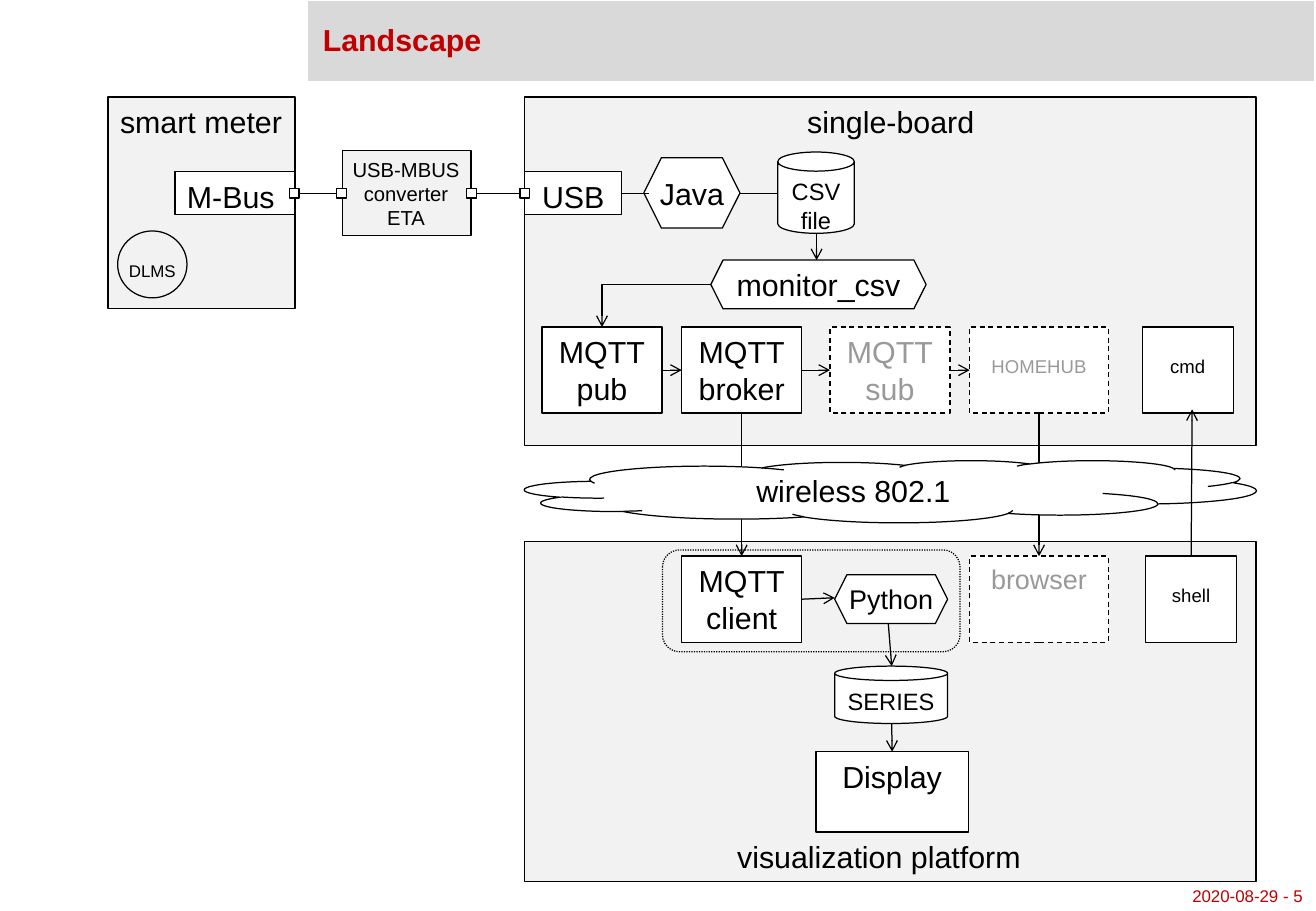
import pptx
import pptx.dml.color
import pptx.enum.dml
import pptx.enum.shapes
import pptx.enum.text
import pptx.oxml.ns
import pptx.util
from lxml import etree

Cm = pptx.util.Cm
Pt = pptx.util.Pt
RGBColor = pptx.dml.color.RGBColor
Shape = pptx.enum.shapes.MSO_SHAPE
Connector = pptx.enum.shapes.MSO_CONNECTOR
Align = pptx.enum.text.PP_ALIGN
Anchor = pptx.enum.text.MSO_ANCHOR
Dash = pptx.enum.dml.MSO_LINE
qn = pptx.oxml.ns.qn

BLACK = RGBColor(0x00, 0x00, 0x00)
WHITE = RGBColor(0xFF, 0xFF, 0xFF)
RED = RGBColor(0xC0, 0x00, 0x00)
MUTED = RGBColor(0x99, 0x99, 0x99)
HEADER = RGBColor(0xD9, 0xD9, 0xD9)
PANEL = RGBColor(0xF2, 0xF2, 0xF2)

TOP, LEFT, BOTTOM, RIGHT = range(4)
INSETS = (0.25, 0.13, 0.25, 0.13)
SECOND_LINE = (0.25, 0.58, 0.25, 0.13)
NO_INSETS = (0, 0, 0, 0)

BUS_Y = 4.04
PORT = 0.2
PI_ROW, PLATFORM_ROW = 6.84, 11.63
NODE_HEIGHT = 1.8


def write(shape, text, size=18, color=BLACK, bold=False, align=Align.CENTER,
          anchor=Anchor.TOP, insets=INSETS, wrap=True):
    """Fill the shape with text, one paragraph per line."""
    frame = shape.text_frame
    frame.word_wrap = wrap
    frame.vertical_anchor = anchor
    (frame.margin_left, frame.margin_top,
     frame.margin_right, frame.margin_bottom) = map(Cm, insets)
    frame.text = text
    for paragraph in frame.paragraphs:
        paragraph.alignment = align
        font = paragraph.runs[0].font
        font.name, font.size, font.bold = "Arial", Pt(size), bold
        font.color.rgb = color


def add_label(slide, text, left, top, width, height, **text_format):
    box = slide.shapes.add_textbox(Cm(left), Cm(top), Cm(width), Cm(height))
    write(box, text, **text_format)


def add_node(slide, kind, left, top, width, height, text="", fill=WHITE,
             line=BLACK, dash=None, **text_format):
    """Add an outlined shape; fill=None leaves it transparent."""
    shape = slide.shapes.add_shape(kind, Cm(left), Cm(top), Cm(width), Cm(height))
    shape.shadow.inherit = False
    if fill is None:
        shape.fill.background()
    else:
        shape.fill.solid()
        shape.fill.fore_color.rgb = fill
    shape.line.color.rgb = line
    shape.line.width = Pt(0.75)
    if dash is not None:
        shape.line.dash_style = dash
    if text:
        write(shape, text, **text_format)
    return shape


def add_link(slide, start, end, arrow=True, kind=Connector.STRAIGHT):
    """Link two ends, each a (shape, side) pair or an (x, y) point."""
    points = [(0, 0) if hasattr(first, "shape_id") else (first, second)
              for first, second in (start, end)]
    link = slide.shapes.add_connector(kind, *(Cm(v) for point in points for v in point))
    if hasattr(start[0], "shape_id"):
        link.begin_connect(*start)
    if hasattr(end[0], "shape_id"):
        link.end_connect(*end)
    link.line.color.rgb = BLACK
    link.line.width = Pt(0.75)
    if arrow:
        etree.SubElement(link.line._get_or_add_ln(), qn("a:tailEnd"), type="arrow")
    etree.SubElement(link._element.spPr, qn("a:effectLst"))
    return link


def add_corner_link(slide, start, end):
    """Link with a single right-angle bend."""
    link = add_link(slide, start, end, kind=Connector.ELBOW)
    link._element.spPr.find(qn("a:prstGeom")).set("prst", "bentConnector2")


def add_frame(slide):
    add_label(slide, "2020-08-29 - 5", 24.13, 18.39, 3.35, 0.69, size=10,
              color=RED, align=Align.RIGHT, wrap=False)
    add_node(slide, Shape.RECTANGLE, 6.45, 0.03, 21.01, 1.65, fill=HEADER, line=HEADER)
    add_label(slide, "Landscape", 6.5, 0, 21.01, 1.65, color=RED, bold=True,
              align=Align.LEFT, anchor=Anchor.MIDDLE)


def add_panels(slide):
    add_node(slide, Shape.RECTANGLE, 2.26, 2.03, 3.91, 4.42, fill=PANEL)
    add_label(slide, "smart meter", 2.26, 2.03, 4.04, 1.02, align=Align.LEFT, wrap=False)
    add_node(slide, Shape.RECTANGLE, 10.97, 2.03, 15.29, 7.29, fill=PANEL)
    add_label(slide, "single-board", 16.12, 2.03, 5, 1.02, wrap=False)
    add_node(slide, Shape.RECTANGLE, 10.97, 11.33, 15.29, 7.11, fill=PANEL)
    add_label(slide, "visualization platform", 15.16, 17.4, 6.6, 1.02,
              align=Align.LEFT, wrap=False)


def add_meter_chain(slide):
    """Smart meter, converter and the reading chain; returns the CSV reader."""
    add_node(slide, Shape.OVAL, 2.46, 4.83, 1.45, 1.4, "DLMS", fill=None, size=10,
             insets=(0, 0.41, 0, 0))
    add_node(slide, Shape.RECTANGLE, 3.66, 3.59, 2.51, 0.9, "M-Bus", align=Align.LEFT)
    add_node(slide, Shape.RECTANGLE, 7.16, 3.15, 2.69, 1.78, fill=PANEL)
    add_label(slide, "USB-MBUS\nconverter\nETA", 7.26, 3.28, 2.46, 1.55, size=12,
              insets=NO_INSETS)
    usb = add_node(slide, Shape.RECTANGLE, 10.97, 3.59, 2.03, 0.9, "USB")
    program = dict(anchor=Anchor.MIDDLE, insets=NO_INSETS, wrap=False)
    add_node(slide, Shape.HEXAGON, 13.46, 3.3, 2.01, 1.47, "Java", **program)
    add_node(slide, Shape.CAN, 16.26, 3.18, 1.6, 1.7, "CSV\nfile", size=14)
    monitor = add_node(slide, Shape.HEXAGON, 14.86, 5.44, 4.5, 1.02, "monitor_csv",
                       **program)

    # Ports along the bus, linked in pairs
    ports = [add_node(slide, Shape.RECTANGLE, x - PORT / 2, BUS_Y - PORT / 2, PORT, PORT)
             for x in (6.15, 7.14, 9.86, 10.97)]
    for near, far in zip(ports[::2], ports[1::2]):
        add_link(slide, (near, RIGHT), (far, LEFT), arrow=False)
    add_link(slide, (usb, RIGHT), (13.56, BUS_Y), arrow=False)
    add_link(slide, (15.47, BUS_Y), (16.26, BUS_Y), arrow=False)
    add_link(slide, (17.07, 4.89), (17.07, 5.44))
    return monitor


def add_services(slide, monitor):
    """Both service rows with their links; returns the terminal client."""
    def service(text, left, top, width=2.51, **options):
        return add_node(slide, Shape.RECTANGLE, left, top, width, NODE_HEIGHT,
                        text, **options)

    planned = dict(color=MUTED, dash=Dash.DASH)
    small = dict(size=11, insets=SECOND_LINE)

    # Single-board row
    publisher = service("MQTT\npub", 11.33, PI_ROW)
    broker = service("MQTT\nbroker", 14.25, PI_ROW)
    subscriber = service("MQTT\nsub", 17.35, PI_ROW, **planned)
    home = service("HOMEHUB", 20.27, PI_ROW, 2.9, **planned, **small)
    service("cmd", 23.88, PI_ROW, 1.9, **small)

    # Visualization row
    client = service("MQTT\nclient", 14.25, PLATFORM_ROW)
    browser = service("browser", 20.27, PLATFORM_ROW, 2.9, size=16, **planned)
    terminal = service("shell", 23.95, PLATFORM_ROW, 1.9, **small)

    # Links
    row = (publisher, broker, subscriber, home)
    for source, target in zip(row, row[1:]):
        add_link(slide, (source, RIGHT), (target, LEFT))
    for source, target in ((broker, client), (home, browser)):
        add_link(slide, (source, BOTTOM), (target, TOP))
    # The left tip of a hexagon has connection site 3
    add_corner_link(slide, (14.86, 5.95), (publisher, TOP))

    # Python, database and dashboard
    add_node(slide, Shape.HEXAGON, 17.45, 12.02, 2.36, 1.02, "Python", size=16,
             anchor=Anchor.MIDDLE, insets=NO_INSETS, wrap=False)
    add_node(slide, Shape.CAN, 17.45, 13.93, 2.36, 1.2, "SERIES", size=14)
    dashboard = add_node(slide, Shape.RECTANGLE, 17.06, 15.72, 3.18, 1.68, "Display")
    add_link(slide, (client, RIGHT), (17.45, 12.5))
    add_link(slide, (18.57, 13.05), (18.64, 13.93))
    add_link(slide, (18.64, 15.13), (dashboard, TOP))
    add_node(slide, Shape.ROUNDED_RECTANGLE, 13.85, 11.5, 6.22, 2.13, fill=None,
             dash=Dash.ROUND_DOT)
    return terminal


def main():
    presentation = pptx.Presentation()
    presentation.slide_width, presentation.slide_height = Cm(27.51), Cm(19.05)
    slide = presentation.slides.add_slide(presentation.slide_layouts[6])
    add_frame(slide)
    add_panels(slide)
    monitor = add_meter_chain(slide)
    terminal = add_services(slide, monitor)

    # Wireless cloud, crossed by the terminal session
    add_node(slide, Shape.CLOUD, 10.97, 9.63, 15.29, 1.3)
    add_label(slide, "wireless 802.1", 15.54, 9.75, 4.6, 1.02, wrap=False)
    add_link(slide, (terminal, TOP), (24.92, 8.56))
    presentation.save("out.pptx")


if __name__ == "__main__":
    main()
